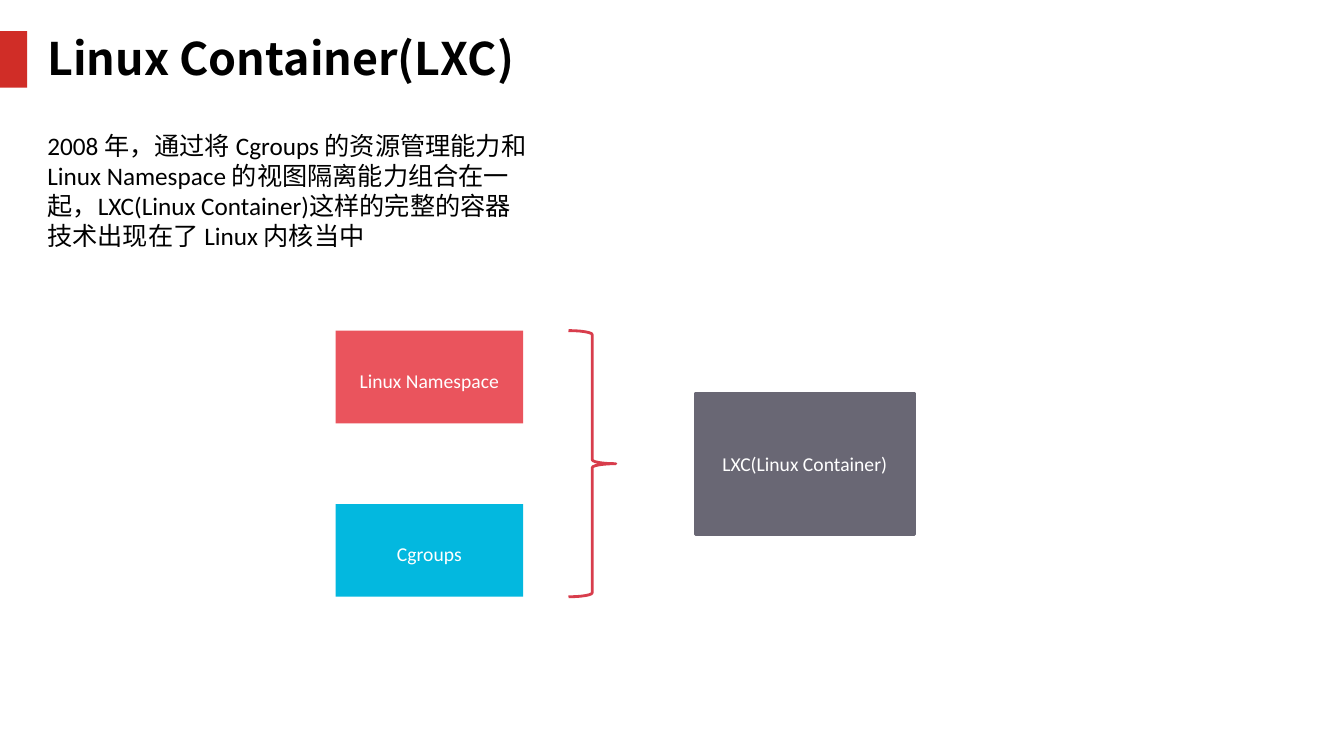
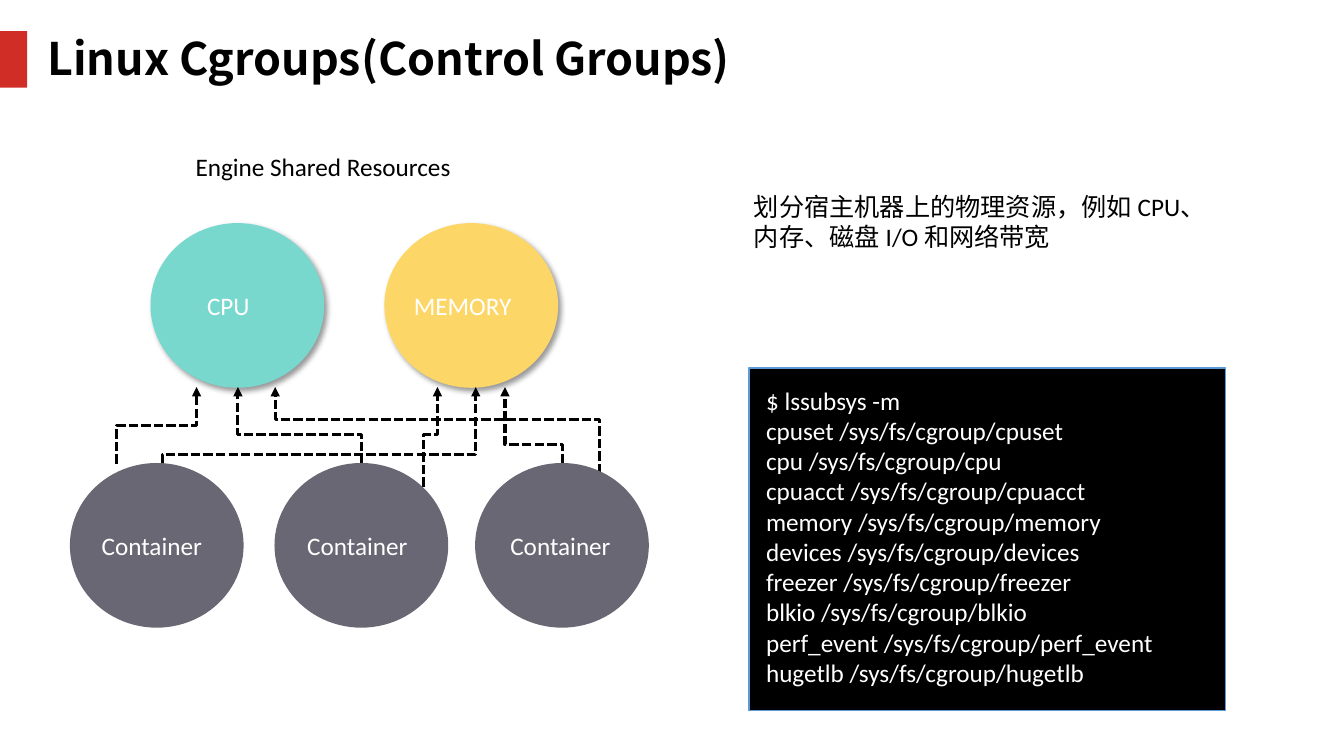
from dataclasses import dataclass

from lxml.etree import SubElement
from pptx import Presentation
from pptx.dml.color import RGBColor
from pptx.enum.dml import MSO_LINE
from pptx.enum.shapes import MSO_CONNECTOR, MSO_SHAPE
from pptx.enum.text import MSO_ANCHOR, MSO_AUTO_SIZE, PP_ALIGN
from pptx.oxml.ns import qn
from pptx.shapes.autoshape import Shape
from pptx.slide import Slide
from pptx.text.text import TextFrame
from pptx.util import Emu, Inches, Pt

COLORS = {
    "ink": "000000", "paper": "FFFFFF", "accent": "D02D27",
    "namespace": "EA545D", "cgroups": "03B8DF", "lxc": "696774", "brace": "D83D4C",
    "cpu": "78D8CE", "memory": "FCD767", "container": "696773", "terminal_edge": "5B9BD5",
}
BODY_FONT, TITLE_FONT = "Calibri", "Noto Sans CJK SC"
COLUMNS, ROWS = 133.33, 75
CELL = Inches(0.1)
CIRCLE_W, CIRCLE_H = 17.1, 16.2
RESOURCE_ROW, CONTAINER_ROW = 22.2, 46
ARROW_TIP_ROW = 38.4


@dataclass(frozen=True)
class Area:
    """A rectangle in grid columns and rows."""
    col: float
    row: float
    cols: float
    rows: float

    def emu(self) -> tuple[Emu, Emu, Emu, Emu]:
        return cells(self.col), cells(self.row), cells(self.cols), cells(self.rows)


@dataclass(frozen=True)
class Circle:
    label: str
    col: float
    color: str
    right_inset: float


@dataclass(frozen=True)
class Route:
    """A dashed arrow rising from a container, along a lane, to a resource."""
    start_col: float
    start_row: float
    lane_row: float
    end_col: float


RESOURCES = [
    Circle("CPU", 15, "cpu", 0.18),
    Circle("MEMORY", 38.2, "memory", 0.17),
]
CONTAINERS = [
    Circle("Container", 7, "container", 0.1),
    Circle("Container", 27.3, "container", 0.08),
    Circle("Container", 47.2, "container", 0.03),
]
ROUTES = [
    Route(11.6, 46, 42.2, 19.5),
    Route(35.9, 46, 43.1, 23.6),
    Route(16.1, 46, 45.1, 47.2),
    Route(55.8, 46, 44.1, 50.1),
    Route(42, 48.3, 43.1, 43.4),
    Route(59.5, 50.7, 41.6, 27.3),
]
SUBSYSTEMS = ["cpuset", "cpu", "cpuacct", "memory", "devices",
              "freezer", "blkio", "perf_event", "hugetlb"]


def cells(count: float) -> Emu:
    return Emu(round(count * CELL))


def rgb(color: str) -> RGBColor:
    return RGBColor.from_string(COLORS[color])


def write(frame: TextFrame, text: str, *, size: float = 18, color: str = "ink",
          font: str = BODY_FONT, bold: bool = False, align: PP_ALIGN = PP_ALIGN.LEFT,
          anchor: MSO_ANCHOR = MSO_ANCHOR.TOP, spacing: float = 1.0,
          insets: tuple[float, float, float, float] = (0.05, 0.05, 0.05, 0.05)) -> None:
    """Fill a frame with one unbulleted paragraph per line of text."""
    frame.word_wrap = True
    frame.auto_size = MSO_AUTO_SIZE.NONE
    frame.vertical_anchor = anchor
    (frame.margin_left, frame.margin_top,
     frame.margin_right, frame.margin_bottom) = map(Inches, insets)
    for index, line in enumerate(text.split("\n")):
        paragraph = frame.add_paragraph() if index else frame.paragraphs[0]
        properties = paragraph._p.get_or_add_pPr()
        properties.set("marL", "0")
        properties.set("indent", "0")
        SubElement(properties, qn("a:buNone"))
        paragraph.alignment = align
        paragraph.line_spacing = spacing
        paragraph.space_before = Pt(0)
        run = paragraph.add_run()
        run.text = line
        run.font.size, run.font.bold, run.font.name = Pt(size), bold, font
        run.font.color.rgb = rgb(color)
        SubElement(run._r.get_or_add_rPr(), qn("a:ea"), typeface=font)


def draw(slide: Slide, preset: MSO_SHAPE, area: Area, fill: str | None = None,
         edge: str | None = None, edge_width: float = 1) -> Shape:
    shape = slide.shapes.add_shape(preset, *area.emu())
    shape.shadow.inherit = False
    if fill:
        shape.fill.solid()
        shape.fill.fore_color.rgb = rgb(fill)
    else:
        shape.fill.background()
    if edge:
        shape.line.color.rgb = rgb(edge)
        shape.line.width = Pt(edge_width)
    else:
        shape.line.fill.background()
    return shape


def add_slide(deck: Presentation, title: str, body: str, body_area: Area) -> Slide:
    slide = deck.slides.add_slide(deck.slide_layouts[1])
    heading, passage = slide.shapes.title, slide.placeholders[1]
    for holder, area in ((heading, Area(4.2, 3.1, 78.4, 5.9)), (passage, body_area)):
        holder.left, holder.top, holder.width, holder.height = area.emu()
    write(heading.text_frame, title, size=32, font=TITLE_FONT, bold=True, spacing=0.9)
    write(passage.text_frame, body)
    draw(slide, MSO_SHAPE.RECTANGLE, Area(0, 3.1, 2.7, 5.6), "accent")
    return slide


def add_box(slide: Slide, label: str, area: Area, color: str, spacing: float = 1.0,
            edge: str | None = None) -> None:
    box = draw(slide, MSO_SHAPE.RECTANGLE, area, color, edge, 2)
    write(box.text_frame, label, size=14, color="paper", align=PP_ALIGN.CENTER,
          anchor=MSO_ANCHOR.MIDDLE, spacing=spacing)


def add_circle(slide: Slide, circle: Circle, row: float) -> Shape:
    shape = draw(slide, MSO_SHAPE.OVAL, Area(circle.col, row, CIRCLE_W, CIRCLE_H),
                 circle.color, circle.color)
    write(shape.text_frame, circle.label, color="paper", align=PP_ALIGN.CENTER,
          anchor=MSO_ANCHOR.MIDDLE, insets=(0, 0, circle.right_inset, 0))
    return shape


def cast_shadow(shape: Shape) -> None:
    effects = shape.element.spPr.find(qn("a:effectLst"))
    shadow = SubElement(effects, qn("a:outerShdw"), blurRad=str(Pt(4)), dist=str(Pt(3)),
                        dir=str(45 * 60000), algn="tl", rotWithShape="0")
    tint = SubElement(shadow, qn("a:srgbClr"), val=COLORS["ink"])
    SubElement(tint, qn("a:alpha"), val="40000")


def add_route(slide: Slide, route: Route) -> None:
    """Lay the elbow on its side, then turn it a quarter so that it leaves upwards."""
    rise = route.start_row - ARROW_TIP_ROW
    shift = route.end_col - route.start_col
    mid_col = (route.start_col + route.end_col) / 2
    mid_row = (route.start_row + ARROW_TIP_ROW) / 2
    arrow = slide.shapes.add_connector(
        MSO_CONNECTOR.ELBOW, cells(mid_col - rise / 2), cells(mid_row - shift / 2),
        cells(mid_col + rise / 2), cells(mid_row + shift / 2))
    properties = arrow.element.spPr
    properties.find(qn("a:xfrm")).set("rot", str(270 * 60000))
    geometry = properties.find(qn("a:prstGeom"))
    guides = geometry.find(qn("a:avLst"))
    if guides is None:
        guides = SubElement(geometry, qn("a:avLst"))
    bend = round((route.start_row - route.lane_row) / rise * 100000)
    SubElement(guides, qn("a:gd"), name="adj1", fmla=f"val {bend}")
    arrow.line.color.rgb = rgb("ink")
    arrow.line.width = Pt(2.25)
    arrow.line.dash_style = MSO_LINE.SQUARE_DOT
    SubElement(properties.find(qn("a:ln")), qn("a:tailEnd"), type="triangle")
    SubElement(properties, qn("a:effectLst"))


def build_lxc(deck: Presentation) -> None:
    slide = add_slide(
        deck, "Linux Container(LXC)",
        "2008 年，通过将 Cgroups 的资源管理能力和 Linux Namespace 的视图隔离能力组合在一起，"
        "LXC(Linux Container)这样的完整的容器技术出现在了 Linux 内核当中",
        Area(4.2, 12.4, 49.1, 13.1))
    add_box(slide, "LXC(Linux Container)", Area(69, 39, 21.7, 14), "lxc", edge="lxc")
    brace = draw(slide, MSO_SHAPE.LEFT_BRACE, Area(56.4, 32.8, 4.7, 26.4),
                 edge="brace", edge_width=2)
    brace.rotation = 180
    parts = (("Linux Namespace", "namespace"), ("Cgroups", "cgroups"))
    for index, (label, color) in enumerate(parts):
        add_box(slide, label, Area(33.3, 32.8 + 17.2 * index, 18.6, 9.2), color, 1.3)


def build_cgroups(deck: Presentation) -> None:
    slide = add_slide(
        deck, "Linux Cgroups(Control Groups)",
        "划分宿主机器上的物理资源，例如 CPU、内存、磁盘 I/O 和网络带宽",
        Area(74.3, 18.5, 47.3, 7.1))
    for resource in RESOURCES:
        cast_shadow(add_circle(slide, resource, RESOURCE_ROW))
    for route in ROUTES:
        add_route(slide, route)
    for container in CONTAINERS:
        add_circle(slide, container, CONTAINER_ROW)
    caption = slide.shapes.add_textbox(*Area(18.9, 14.5, 30.7, 4).emu())
    write(caption.text_frame, "Engine Shared Resources")
    terminal = draw(slide, MSO_SHAPE.RECTANGLE, Area(74.3, 36.5, 47.3, 34),
                    "ink", "terminal_edge")
    mounts = [f"{name} /sys/fs/cgroup/{name}" for name in SUBSYSTEMS]
    write(terminal.text_frame, "\n".join(["$ lssubsys -m", *mounts]), color="paper",
          insets=(0.17, 0.17, 0.17, 0.17))


def main() -> None:
    deck = Presentation()
    deck.slide_width, deck.slide_height = cells(COLUMNS), cells(ROWS)
    build_lxc(deck)
    build_cgroups(deck)
    deck.save("out.pptx")


if __name__ == "__main__":
    main()
